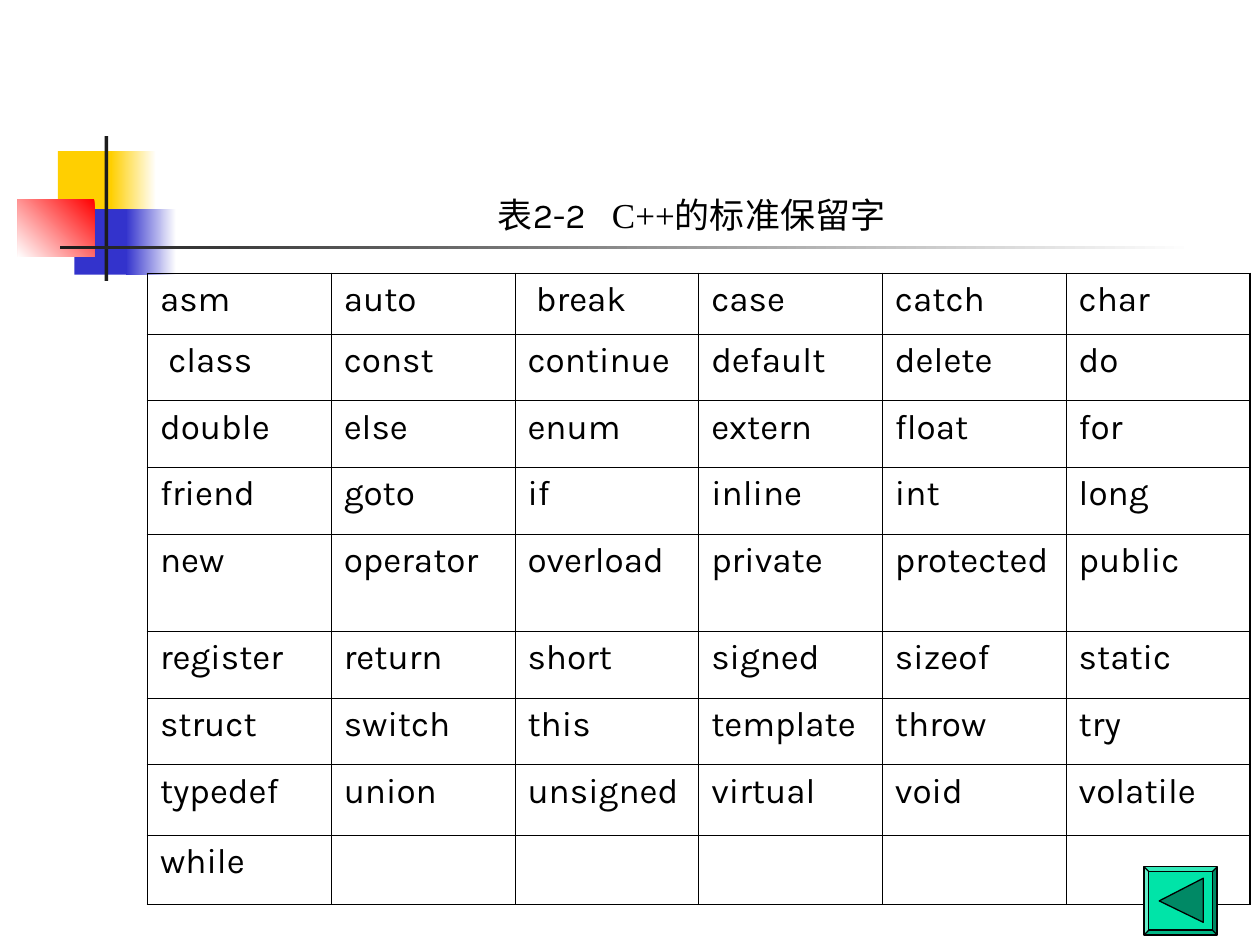
import pptx
import pptx.util
import pptx.dml.color
import pptx.enum.shapes
import pptx.enum.text
import lxml.etree
import pptx.oxml.ns

Inches = pptx.util.Inches
Pt = pptx.util.Pt
RGBColor = pptx.dml.color.RGBColor
SHAPE = pptx.enum.shapes.MSO_SHAPE

BLACK = RGBColor(0x00, 0x00, 0x00)
WHITE = RGBColor(0xFF, 0xFF, 0xFF)
GOLD = RGBColor(0xFF, 0xCF, 0x01)
BLUE = RGBColor(0x33, 0x33, 0xCC)
RED = RGBColor(0xFF, 0x00, 0x00)
DARK = RGBColor(0x1C, 0x1C, 0x1C)
GREEN = RGBColor(0x00, 0xE4, 0xA8)
DEEP = RGBColor(0x00, 0x89, 0x65)

SANS, SERIF = "Karla", "Times New Roman"

DECOR = [
    ((0.46, 1.2, 0.48, 0.52), [GOLD], 0),
    ((0.88, 1.2, 0.36, 0.52), [WHITE, GOLD], 180),
    ((0.59, 1.66, 0.46, 0.52), [BLUE], 0),
    ((1, 1.66, 0.4, 0.52), [WHITE, BLUE], 180),
    ((0.14, 1.58, 0.61, 0.46), [RED, WHITE], 225),
    ((0.83, 1.08, 0.03, 1.15), [DARK], 0),
    ((0.48, 1.95, 9, 0.03), [WHITE, DARK], 180),
]

TITLE = [("表", SERIF, 0), ("2-2", SANS, 0), (" ", SERIF, 10),
         ("C++的标准保留字 ", SERIF, 0)]

WORDS = [
    ["asm", "auto", " break", "case", "catch", "char"],
    [" class", "const", "continue", "default", "delete", "do"],
    ["double", "else", "enum", "extern", "float", "for"],
    ["friend", "goto", "if", "inline", "int", "long"],
    ["new", "operator", "overload", "private", "protected", "public"],
    ["register", "return", "short", "signed", "sizeof", "static"],
    ["struct", "switch", "this", "template", "throw", "try"],
    ["typedef", "union", "unsigned", "virtual", "void", "volatile"],
    ["while", "", "", "", "", ""],
]
ROWS = [0.48, 0.53, 0.53, 0.53, 0.77, 0.53, 0.53, 0.56, 0.55]
WIDTH = 8.75
THIN, THICK = 0.45, 1.08


def box(slide, kind, area):
    shape = slide.shapes.add_shape(kind, *map(Inches, area))
    shape.shadow.inherit = False
    return shape


def paint(shape, tones, angle):
    fill = shape.fill
    if len(tones) == 1:
        fill.solid()
        fill.fore_color.rgb = tones[0]
    else:
        fill.gradient()
        fill.gradient_angle = angle
        for stop, tone in zip(fill.gradient_stops, tones):
            stop.color.rgb = tone


def edge(shape):
    shape.line.color.rgb = BLACK
    shape.line.width = Pt(0.75)


def border(cell, sides):
    qn = pptx.oxml.ns.qn
    props = cell._tc.get_or_add_tcPr()
    for side, outer in sides.items():
        width = Pt(THICK if outer else THIN)
        line = lxml.etree.SubElement(props, qn("a:ln" + side), w=str(int(width)))
        solid = lxml.etree.SubElement(line, qn("a:solidFill"))
        lxml.etree.SubElement(solid, qn("a:srgbClr"), val=str(BLACK))


def add_grid(slide):
    count, cols = len(WORDS), len(WORDS[0])
    frame = slide.shapes.add_table(count, cols, Inches(1.17), Inches(2.17),
                                   Inches(WIDTH), Inches(sum(ROWS)))
    table = frame.table
    table.first_row = table.horz_banding = False
    for col in table.columns:
        col.width = Inches(WIDTH / cols)
    for r, (words, height) in enumerate(zip(WORDS, ROWS)):
        table.rows[r].height = Inches(height)
        for c, word in enumerate(words):
            cell = table.cell(r, c)
            border(cell, {"L": c == 0, "R": c == cols - 1,
                          "T": r == 0, "B": r == count - 1})
            cell.fill.background()
            cell.text = word
            para = cell.text_frame.paragraphs[0]
            para.space_before = Pt(5)
            para.font.size = Pt(20)
            para.font.name = SANS
            para.font.color.rgb = BLACK


def add_title(slide):
    area = map(Inches, (1.26, 0.67, 8.52, 1.25))
    frame = slide.shapes.add_textbox(*area).text_frame
    frame.word_wrap = True
    frame.vertical_anchor = pptx.enum.text.MSO_ANCHOR.BOTTOM
    para = frame.paragraphs[0]
    para.alignment = pptx.enum.text.PP_ALIGN.CENTER
    para.font.size = Pt(20)
    para.font.color.rgb = BLACK
    for text, face, gap in TITLE:
        run = para.add_run()
        run.text = text
        run.font.name = face
        run.font.size = Pt(20)
        if gap:
            run._r.get_or_add_rPr().set("spc", str(gap * 100))


def add_button(slide):
    button = box(slide, SHAPE.BEVEL, (9.08, 6.88, 0.58, 0.54))
    button.adjustments[0] = 0.07
    paint(button, [GREEN], 0)
    edge(button)
    pen = slide.shapes.build_freeform(Inches(9.2), Inches(7.15))
    pen.add_line_segments([(Inches(9.55), Inches(6.97)),
                           (Inches(9.55), Inches(7.32))], close=True)
    arrow = pen.convert_to_shape()
    arrow.shadow.inherit = False
    paint(arrow, [DEEP], 0)
    edge(arrow)


def main():
    deck = pptx.Presentation()
    deck.slide_width, deck.slide_height = Inches(10), Inches(7.5)
    slide = deck.slides.add_slide(deck.slide_layouts[6])
    for area, tones, angle in DECOR:
        shape = box(slide, SHAPE.RECTANGLE, area)
        paint(shape, tones, angle)
        shape.line.fill.background()
    add_grid(slide)
    add_title(slide)
    add_button(slide)
    deck.save("out.pptx")


if __name__ == "__main__":
    main()
